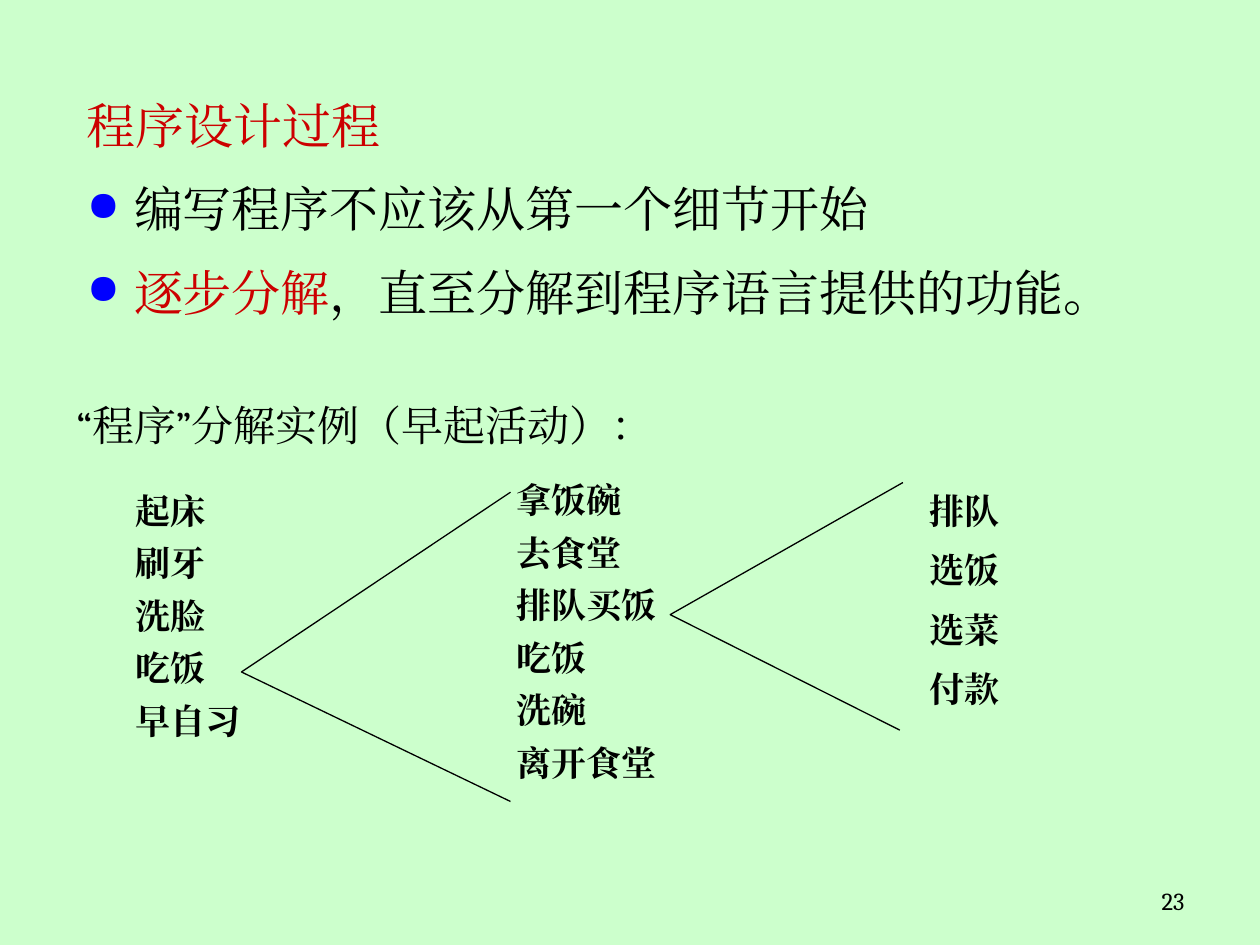
from pptx import Presentation
from pptx import util as u
from pptx.dml import color
from pptx.enum import text
from pptx.oxml import xmlchemy

BLACK, RED, BLUE, GREEN = "000000", "CC0000", "0000FF", "CCFFCC"
SERIF, SANS = "Cambria", "Noto Sans CJK SC"


def rgb(hex_color):
    return color.RGBColor.from_string(hex_color)


def apply_format(target, values):
    for name, value in values.items():
        setattr(target, name, value)


def add_child(parent, tag, **attributes):
    child = xmlchemy.OxmlElement(tag)
    for name, value in attributes.items():
        child.set(name, value)
    parent.append(child)
    return child


def add_box(slide, left, top, width, height, grow=True):
    frame = slide.shapes.add_textbox(*map(u.Pt, (left, top, width, height))).text_frame
    sizing = text.MSO_AUTO_SIZE
    apply_format(frame, {
        "word_wrap": True,
        "auto_size": sizing.SHAPE_TO_FIT_TEXT if grow else sizing.NONE,
    })
    return frame


def add_line(frame, parts, size, font=SERIF, bold=False, **layout):
    """Append one paragraph made of (words, colour) parts."""
    first = frame.paragraphs[0]
    line = frame.add_paragraph() if first.runs else first
    apply_format(line, layout)
    for words, hex_color in parts:
        run = line.add_run()
        run.text = words
        apply_format(run.font, {"name": font, "size": u.Pt(size), "bold": bold})
        run.font.color.rgb = rgb(hex_color)
        # East Asian face sets the line height
        add_child(run.font._element, "a:ea", typeface=SERIF)
    return line


def hang(line, indent, bullet=None):
    properties = line._p.get_or_add_pPr()
    properties.set("marL", str(u.Pt(indent)))
    properties.set("indent", str(-u.Pt(indent)))
    if bullet:
        add_child(add_child(properties, "a:buClr"), "a:srgbClr", val=BLUE)
        add_child(properties, "a:buSzPct", val="85000")
        add_child(properties, "a:buChar", char=bullet)


def add_steps(slide, left, top, width, height, steps, gap, justified=0):
    column = add_box(slide, left, top, width, height)
    for index, step in enumerate(steps):
        align = text.PP_ALIGN.JUSTIFY if index < justified else text.PP_ALIGN.LEFT
        add_line(column, [(step, BLACK)], 20, SANS, True,
                 space_before=u.Pt(gap), alignment=align)


def add_fork(slide, lower, tip, upper):
    """Open angle from a step to the column that details it."""
    start, *rest = [tuple(map(u.Pt, point)) for point in (lower, tip, upper)]
    builder = slide.shapes.build_freeform(*start)
    builder.add_line_segments(rest, close=False)
    fork = builder.convert_to_shape()
    fork.shadow.inherit = False
    fork.fill.background()
    fork.line.color.rgb = rgb(BLACK)
    fork.line.width = u.Pt(0.75)


def main():
    deck = Presentation()
    apply_format(deck, {"slide_width": u.Pt(720), "slide_height": u.Pt(540)})
    slide = deck.slides.add_slide(deck.slide_layouts[6])
    slide.background.fill.solid()
    slide.background.fill.fore_color.rgb = rgb(GREEN)

    # Page number
    page = add_box(slide, 516, 502.5, 168, 27, grow=False)
    add_line(page, [("23", BLACK)], 14, alignment=text.PP_ALIGN.RIGHT)

    # Three levels of the morning routine
    add_steps(slide, 70.5, 276, 102, 157.5,
              ["起床", "刷牙", "洗脸", "吃饭", "早自习"], gap=6, justified=4)
    add_steps(slide, 288, 270, 144, 188.5,
              ["拿饭碗", "去食堂", "排队买饭", "吃饭", "洗碗", "离开食堂"], gap=6)
    add_steps(slide, 524, 276, 102, 140.5,
              ["排队", "选饭", "选菜", "付款"], gap=10)

    # Forks between the levels
    add_fork(slide, (514.25, 417.25), (383, 351.25), (516, 275.75))
    add_fork(slide, (291.75, 458), (138, 384), (291.75, 281.25))

    # Example caption
    caption = add_box(slide, 36.5, 224.5, 480, 36)
    add_line(caption, [("“程序”分解实例（早起活动）：", BLACK)], 24, space_before=u.Pt(12))

    # Heading and main points
    body = add_box(slide, 42.5, 51, 641, 147.5, grow=False)
    points = [
        ([("程序设计过程", RED)], None),
        ([("编写程序不应该从第一个细节开始", BLACK)], "●"),
        ([("逐步分解", RED), ("，直至分解到程序语言提供的功能。", BLACK)], "●"),
    ]
    for parts, bullet in points:
        hang(add_line(body, parts, 28, space_before=u.Pt(14)), 27, bullet)

    deck.save("out.pptx")


if __name__ == "__main__":
    main()
